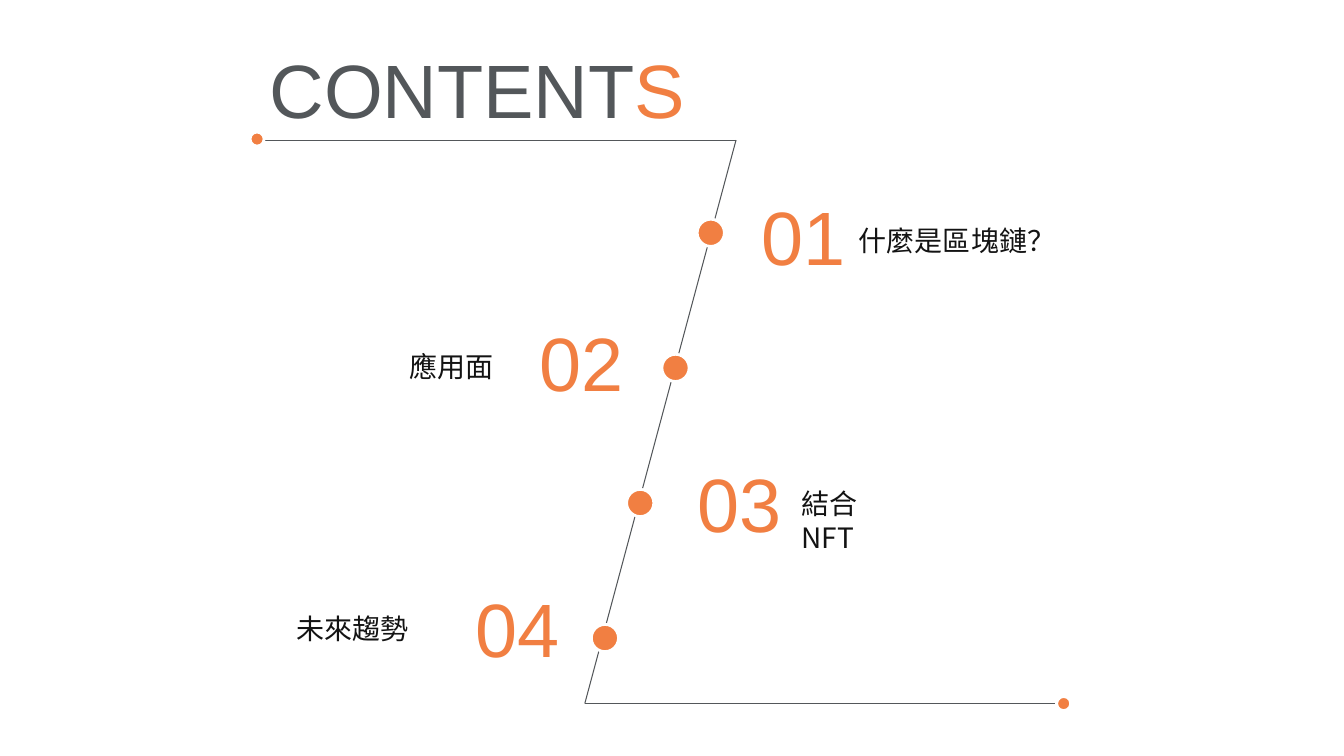
from lxml import etree
from pptx import Presentation
from pptx.dml.color import RGBColor
from pptx.enum.shapes import MSO_CONNECTOR, MSO_SHAPE
from pptx.enum.text import MSO_AUTO_SIZE, PP_ALIGN
from pptx.oxml.ns import qn
from pptx.util import Inches, Pt

STRAIGHT = MSO_CONNECTOR.STRAIGHT
OVAL = MSO_SHAPE.OVAL
LEFT, CENTER = PP_ALIGN.LEFT, PP_ALIGN.CENTER
FIT_SHAPE = MSO_AUTO_SIZE.SHAPE_TO_FIT_TEXT

ORANGE = RGBColor(0xF1, 0x7F, 0x42)
GREY = RGBColor(0x53, 0x57, 0x5A)
BLACK = RGBColor(0x13, 0x13, 0x13)
WHITE = RGBColor(0xFF, 0xFF, 0xFF)

LATIN_FONT = "Arial"
CHINESE_FONT = "Noto Sans CJK SC"

# Corners of the Z-shaped path
PATH = [(2.57, 1.39), (7.3, 1.39), (5.8, 6.98), (10.53, 6.98)]
END_DOTS = [(2.55, 1.38), (10.55, 6.98)]

# Centre of the first chapter dot, and the step to the next one
FIRST_DOT = (7.05, 2.31)
DOT_STEP = (-0.35, 1.34)

# Number, its left and top; title, its left, top and width, alignment, wrapping
CHAPTERS = [
    ("01", 7.45, 1.83, "什麼是區塊鏈？", 8.42, 2.17, 2.17, LEFT, False),
    ("02", 5.25, 3.08, "應用面", 3.96, 3.42, 1.04, CENTER, False),
    ("03", 6.82, 4.48, "結合NFT", 7.85, 4.78, 1.2, LEFT, True),
    ("04", 4.62, 5.72, "未來趨勢", 2.84, 6.02, 1.32, CENTER, False),
]


def add_line(page, start, end):
    line = page.shapes.add_connector(
        STRAIGHT, *(Inches(value) for value in start + end))
    line.line.color.rgb = GREY
    line.line.width = Pt(0.75)
    etree.SubElement(line._element.spPr, qn("a:effectLst"))


def add_dot(page, center, size):
    left, top = (Inches(value - size / 2) for value in center)
    dot = page.shapes.add_shape(OVAL, left, top, Inches(size), Inches(size))
    dot.shadow.inherit = False
    dot.fill.solid()
    dot.fill.fore_color.rgb = ORANGE
    dot.line.color.rgb = WHITE
    dot.line.width = Pt(2)


def add_text(page, place, spans, size, font=LATIN_FONT, align=LEFT, wrap=True):
    box = page.shapes.add_textbox(*(Inches(value) for value in place))
    frame = box.text_frame
    frame.word_wrap = wrap
    frame.auto_size = FIT_SHAPE
    para = frame.paragraphs[0]
    para.alignment = align
    for text, color in spans:
        span = para.add_run()
        span.text = text
        span.font.size = Pt(size)
        span.font.name = font
        span.font.color.rgb = color
        east_asian = etree.SubElement(span._r.rPr, qn("a:ea"))
        east_asian.set("typeface", font)


def add_chapter(page, number, number_left, number_top,
                title, left, top, width, align, wrap):
    add_text(page, (number_left, number_top, 1.18, 1.01),
             [(number, ORANGE)], 54)
    add_text(page, (left, top, width, 0.44),
             [(title, BLACK)], 20, CHINESE_FONT, align, wrap)


def main():
    deck = Presentation()
    deck.slide_width = Inches(13.33)
    deck.slide_height = Inches(7.5)
    page = deck.slides.add_slide(deck.slide_layouts[6])

    # Path with a small dot at each end
    for start, end in zip(PATH, PATH[1:]):
        add_line(page, start, end)
    for center in END_DOTS:
        add_dot(page, center, 0.14)

    # Heading
    add_text(page, (2.55, 0.38, 4.37, 1.01),
             [("CONTENT", GREY), ("S", ORANGE)], 54, align=CENTER, wrap=False)

    # Chapters along the slanted line
    for index, chapter in enumerate(CHAPTERS):
        center = [first + index * step
                  for first, step in zip(FIRST_DOT, DOT_STEP)]
        add_dot(page, center, 0.27)
        add_chapter(page, *chapter)

    deck.save("out.pptx")


if __name__ == "__main__":
    main()
